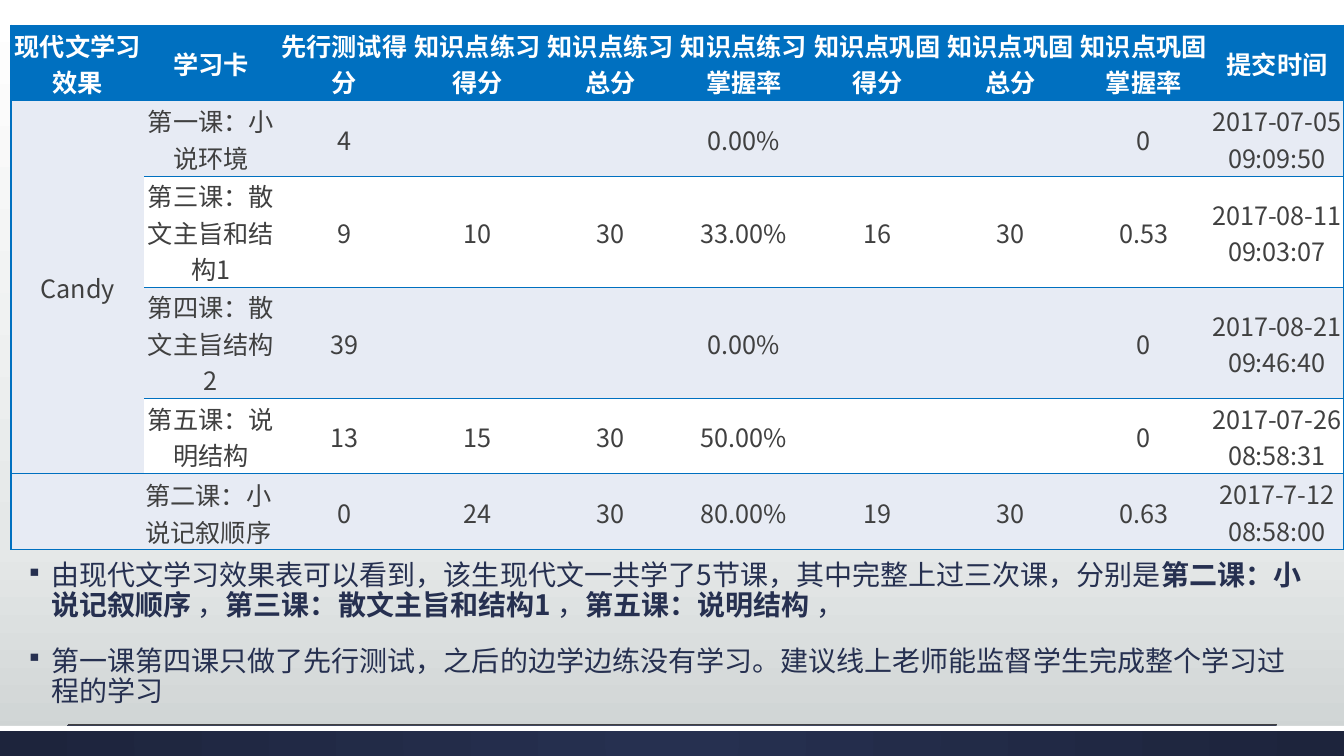
import pptx
import pptx.dml.color
import pptx.enum.shapes
import pptx.enum.text
import pptx.oxml
import pptx.oxml.ns
import pptx.util

Inches = pptx.util.Inches
Pt = pptx.util.Pt
RGBColor = pptx.dml.color.RGBColor
Anchor = pptx.enum.text.MSO_ANCHOR
Align = pptx.enum.text.PP_ALIGN
qn = pptx.oxml.ns.qn

BLUE = RGBColor(0x00, 0x70, 0xC0)
PALE = RGBColor(0xE7, 0xEB, 0xF4)
WHITE = RGBColor(0xFF, 0xFF, 0xFF)
GREY = RGBColor(0x40, 0x40, 0x40)
NAVY = RGBColor(0x26, 0x30, 0x50)
DEEP_NAVY = RGBColor(0x1D, 0x24, 0x3C)
MIST = RGBColor(0xE5, 0xE8, 0xE8)
SILVER = RGBColor(0xCD, 0xD2, 0xD2)

HEADINGS = ["现代文学习效果", "学习卡", "先行测试得分", "知识点练习得分", "知识点练习总分",
            "知识点练习掌握率", "知识点巩固得分", "知识点巩固总分", "知识点巩固掌握率", "提交时间"]
LESSONS = [
    ["Candy", "第一课：小说环境", "4", "", "", "0.00%", "", "", "0", "2017-07-05 09:09:50"],
    ["", "第三课：散文主旨和结构1", "9", "10", "30", "33.00%", "16", "30", "0.53", "2017-08-11 09:03:07"],
    ["", "第四课：散文主旨结构2", "39", "", "", "0.00%", "", "", "0", "2017-08-21 09:46:40"],
    ["", "第五课：说明结构", "13", "15", "30", "50.00%", "", "", "0", "2017-07-26 08:58:31"],
    ["", "第二课：小说记叙顺序", "0", "24", "30", "80.00%", "19", "30", "0.63", "2017-7-12 08:58:00"],
]
ROW_HEIGHTS = [0.75, 0.75, 1.1, 1.1, 0.75, 0.75]
FINDINGS = [
    [("由现代文学习效果表可以看到，该生现代文一共学了5节课，其中完整上过三次课，分别是", False),
     ("第二课：小说记叙顺序", True), (" ，", False),
     ("第三课：散文主旨和结构1", True), (" ，", False),
     ("第五课：说明结构", True), (" ，", False)],
    [("第一课第四课只做了先行测试，之后的边学边练没有学习。建议线上老师能监督学生完成整个学习过程的学习", False)],
]


def add_xml(parent, tag, **attributes):
    child = pptx.oxml.parse_xml(f'<{tag} {pptx.oxml.ns.nsdecls("a")}/>')
    for key, value in attributes.items():
        child.set(key, str(value))
    parent.append(child)
    return child


def write(paragraph, text, size=18, color=GREY, bold=False, font="Noto Sans CJK SC"):
    run = paragraph.add_run()
    run.text = text
    run.font.size = Pt(size)
    run.font.bold = bold
    run.font.color.rgb = color
    run.font.name = font
    add_xml(run.font._element, "a:ea", typeface=font)


class LessonReport:
    def __init__(self, slide):
        self.slide = slide

    def gradient(self, fill, owner, stops, radial=False):
        fill.gradient()
        gradient = owner.find(".//" + qn("a:gradFill"))
        for child in list(gradient):
            gradient.remove(child)
        stop_list = add_xml(gradient, "a:gsLst")
        for position, color in stops:
            stop = add_xml(stop_list, "a:gs", pos=position * 1000)
            add_xml(stop, "a:srgbClr", val=color)
        if radial:
            shade = add_xml(gradient, "a:path", path="circle")
            add_xml(shade, "a:fillToRect", l=50000, t=50000, r=50000, b=50000)
        else:
            add_xml(gradient, "a:lin", ang=5400000, scaled=0)

    def background(self, stops):
        self.gradient(self.slide.background.fill, self.slide._element, stops)

    def band(self, top, height, color=None, stops=None):
        band = self.slide.shapes.add_shape(
            pptx.enum.shapes.MSO_SHAPE.RECTANGLE, 0, Inches(top), Inches(13.33), Inches(height))
        band.shadow.inherit = False
        band.line.fill.background()
        if stops:
            self.gradient(band.fill, band._element, stops, radial=True)
        else:
            band.fill.solid()
            band.fill.fore_color.rgb = color

    def rule(self, left, right, y):
        rule = self.slide.shapes.add_connector(
            pptx.enum.shapes.MSO_CONNECTOR.STRAIGHT, Inches(left), Inches(y), Inches(right), Inches(y))
        rule.line.color.rgb = GREY
        rule.line.width = Pt(0.5)
        add_xml(rule._element.spPr, "a:effectLst")

    def border(self, cell, sides):
        properties = cell._tc.get_or_add_tcPr()
        for side in "LRTB":
            line = add_xml(properties, f"a:ln{side}", w=Pt(1) if side in sides else 0)
            if side in sides:
                add_xml(add_xml(line, "a:solidFill"), "a:srgbClr", val=BLUE)
            else:
                add_xml(line, "a:noFill")

    def cell(self, cell, text, fill, sides, align=Align.CENTER, anchor=Anchor.MIDDLE, **style):
        cell.margin_left = cell.margin_right = cell.margin_top = Inches(0.01)
        cell.margin_bottom = 0
        cell.vertical_anchor = anchor
        self.border(cell, sides)
        cell.fill.solid()
        cell.fill.fore_color.rgb = fill
        paragraph = cell.text_frame.paragraphs[0]
        paragraph.alignment = align
        if text:
            write(paragraph, text, **style)

    def scores(self, headings, lessons, heights):
        rows = [headings] + lessons
        last_row, last_column = len(rows) - 1, len(headings) - 1
        scores = self.slide.shapes.add_table(
            len(rows), len(headings), Inches(0.11), Inches(0.25),
            Inches(13.22), Inches(sum(heights))).table
        for r, row in enumerate(rows):
            scores.rows[r].height = Inches(heights[r])
            for c, text in enumerate(row):
                sides = "TB" + ("L" if c == 0 else "") + ("R" if c == last_column else "")
                style = dict(color=WHITE, bold=True) if r == 0 else {}
                if (r, c) == (last_row, 1):
                    style = dict(align=Align.LEFT, anchor=Anchor.BOTTOM)
                fill = BLUE if r == 0 else PALE if r % 2 or c == 0 else WHITE
                self.cell(scores.cell(r, c), text, fill, sides, **style)
        scores.cell(1, 0).merge(scores.cell(last_row - 1, 0))

    def findings(self, items):
        frame = self.slide.shapes.add_textbox(
            Inches(0.11), Inches(5.52), Inches(12.97), Inches(1.59)).text_frame
        frame.word_wrap = True
        for index, pieces in enumerate(items):
            paragraph = frame.paragraphs[0] if index == 0 else frame.add_paragraph()
            paragraph.line_spacing = 0.9
            paragraph.space_before = Pt(18 if index else 0)
            properties = paragraph._p.get_or_add_pPr()
            properties.set("marL", str(Inches(0.3)))
            properties.set("indent", str(Inches(-0.25)))
            add_xml(add_xml(properties, "a:buClr"), "a:srgbClr", val=NAVY)
            add_xml(properties, "a:buSzPct", val=80000)
            add_xml(properties, "a:buChar", char="▪")
            for text, bold in pieces:
                write(paragraph, text, size=20, color=NAVY, bold=bold)


def main():
    deck = pptx.Presentation()
    deck.slide_width, deck.slide_height = Inches(13.33), Inches(7.5)
    report = LessonReport(deck.slides.add_slide(deck.slide_layouts[6]))
    report.background([(0, WHITE), (72, MIST), (100, SILVER)])
    report.band(7.2, 0.3, stops=[(0, NAVY), (100, DEEP_NAVY)])
    report.band(7.2, 0.05, color=WHITE)
    report.rule(0.67, 12.67, 7.19)
    report.findings(FINDINGS)
    report.scores(HEADINGS, LESSONS, ROW_HEIGHTS)
    deck.save("out.pptx")


if __name__ == "__main__":
    main()
